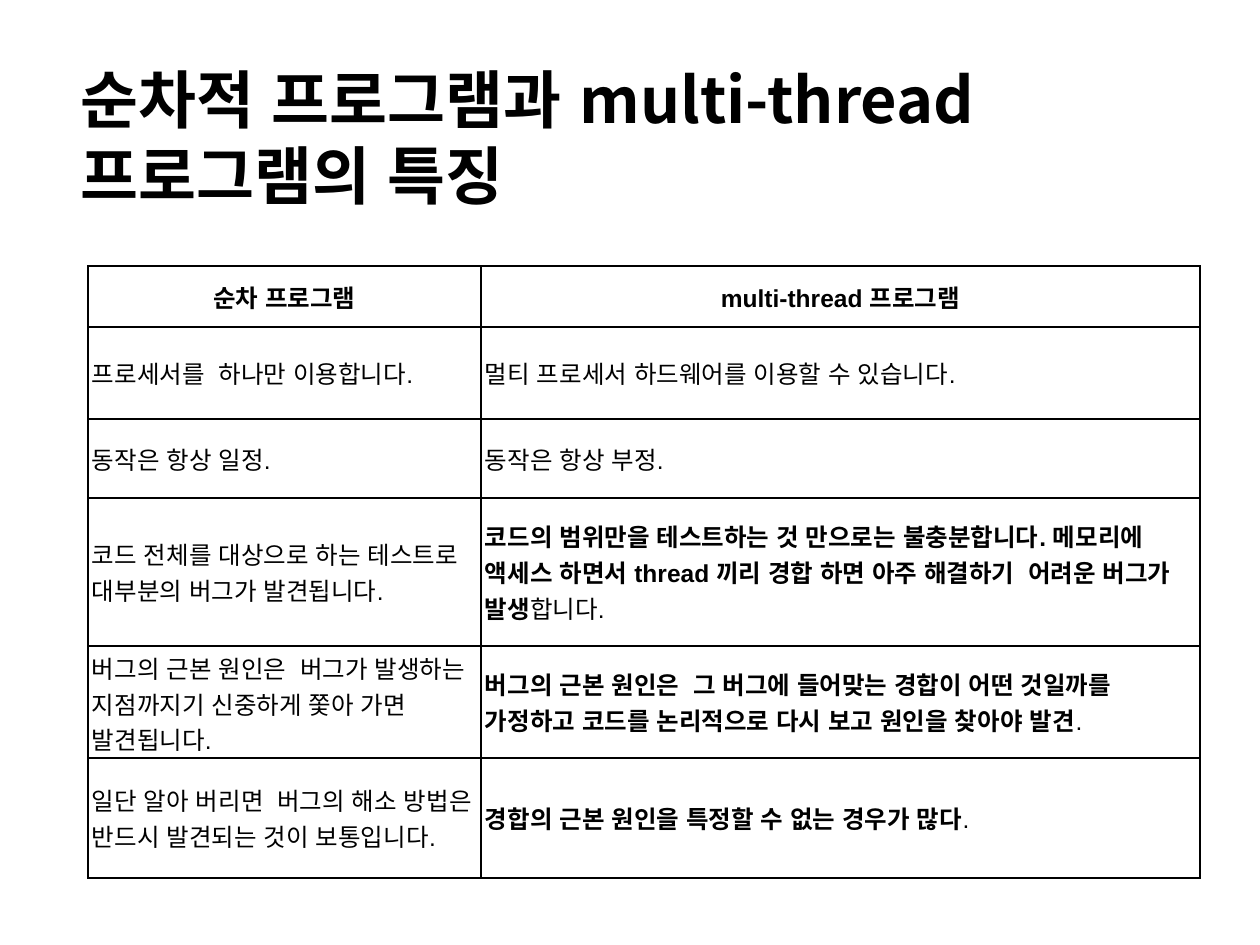
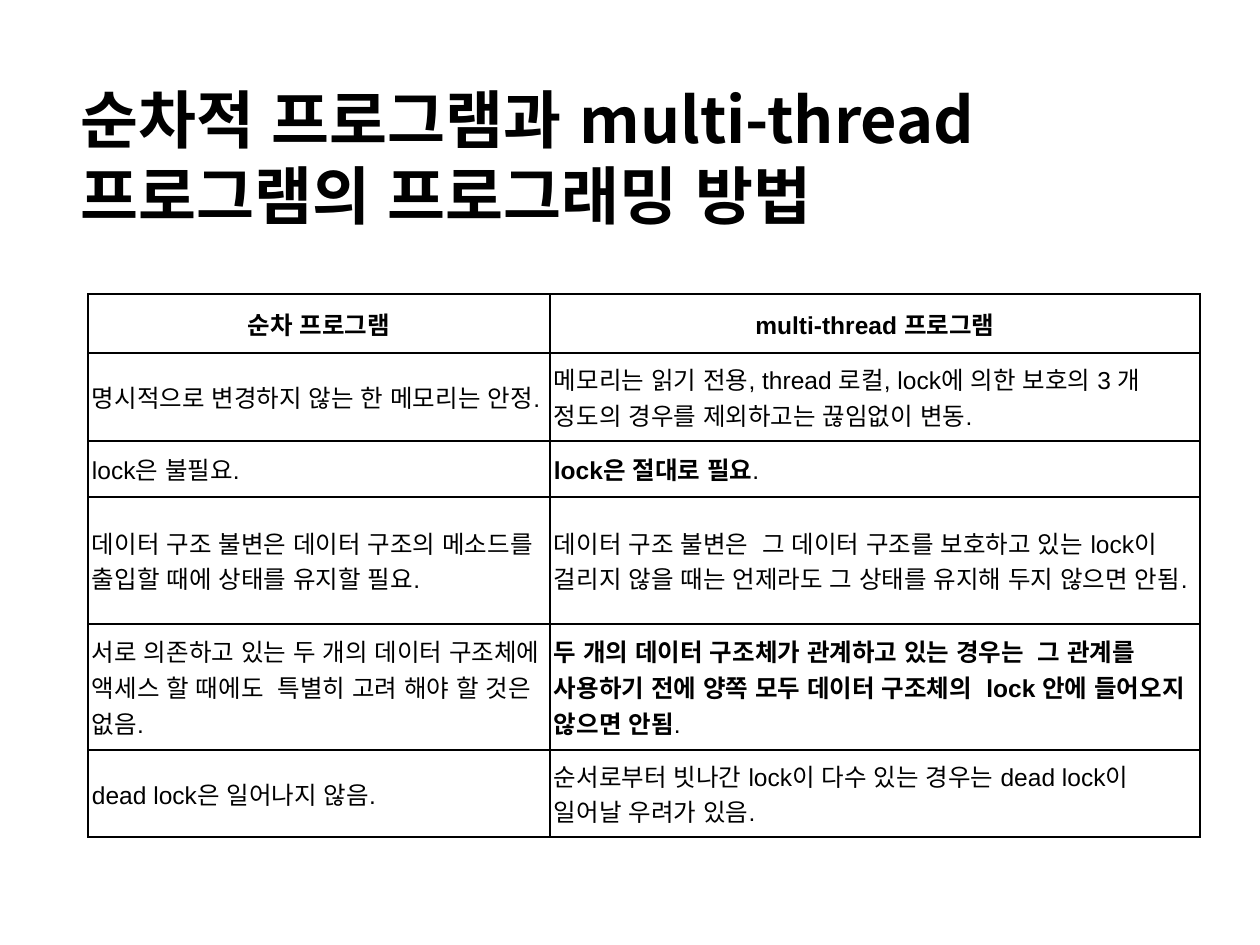
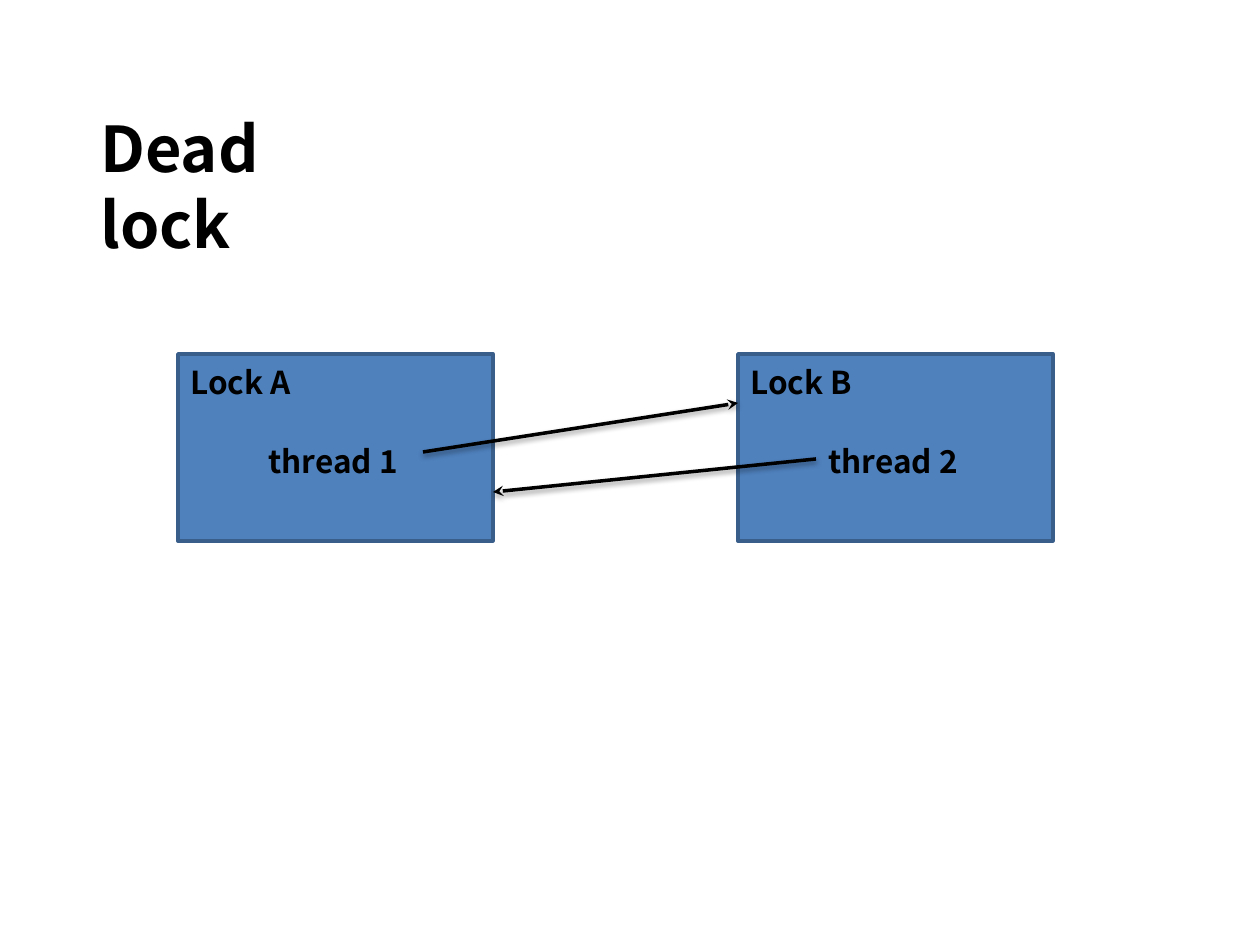
from lxml.etree import SubElement
from pptx import Presentation
from pptx.dml.color import RGBColor
from pptx.enum.lang import MSO_LANGUAGE_ID as Language
from pptx.enum.shapes import MSO_CONNECTOR as Connector, MSO_SHAPE as Shape
from pptx.enum.text import MSO_ANCHOR as Anchor, PP_ALIGN as Align
from pptx.oxml.ns import qn
from pptx.util import Emu, Pt

PX_PER_INCH = 126
COLORS = {"ink": "000000", "lock": "4F81BD", "lock_edge": "395E89"}
TITLE_FONT = "Noto Sans CJK KR"
TABLE_FONT = "Arial"
TITLE_SIZE, LABEL_SIZE, TABLE_SIZE = 36, 18, 14
TABLE_LEFT = 88
CELL_INSET = 4
LOCK_WIDTH, LOCK_HEIGHT = 315, 187

# In a cell, the text before "|" is bold.
FEATURES = [
    ("순차 프로그램|", "multi-thread 프로그램|"),
    ("프로세서를  하나만 이용합니다.", "멀티 프로세서 하드웨어를 이용할 수 있습니다."),
    ("동작은 항상 일정.", "동작은 항상 부정."),
    ("코드 전체를 대상으로 하는 테스트로 대부분의 버그가 발견됩니다.",
     "코드의 범위만을 테스트하는 것 만으로는 불충분합니다. 메모리에 액세스 하면서 thread 끼리 "
     "경합 하면 아주 해결하기  어려운 버그가 발생|합니다."),
    ("버그의 근본 원인은  버그가 발생하는 지점까지기 신중하게 쫓아 가면 발견됩니다.",
     "버그의 근본 원인은  그 버그에 들어맞는 경합이 어떤 것일까를 가정하고 코드를 논리적으로 "
     "다시 보고 원인을 찾아야 발견|."),
    ("일단 알아 버리면  버그의 해소 방법은 반드시 발견되는 것이 보통입니다.",
     "경합의 근본 원인을 특정할 수 없는 경우가 많다|."),
]
METHODS = [
    ("순차 프로그램|", "multi-thread 프로그램|"),
    ("명시적으로 변경하지 않는 한 메모리는 안정.",
     "메모리는 읽기 전용, thread 로컬, lock에 의한 보호의 3 개 정도의 경우를 제외하고는 "
     "끊임없이 변동."),
    ("lock은 불필요.", "lock은 절대로 필요|."),
    ("데이터 구조 불변은 데이터 구조의 메소드를 출입할 때에 상태를 유지할 필요.",
     "데이터 구조 불변은  그 데이터 구조를 보호하고 있는 lock이 걸리지 않을 때는 언제라도 "
     "그 상태를 유지해 두지 않으면 안됨."),
    ("서로 의존하고 있는 두 개의 데이터 구조체에 액세스 할 때에도  특별히 고려 해야 할 것은 없음.",
     "두 개의 데이터 구조체가 관계하고 있는 경우는  그 관계를 사용하기 전에 양쪽 모두 "
     "데이터 구조체의  lock 안에 들어오지 않으면 안됨|."),
    ("dead lock은 일어나지 않음.",
     "순서로부터 빗나간 lock이 다수 있는 경우는 dead lock이 일어날 우려가 있음."),
]


def px(length):
    return Emu(round(length * 914400 / PX_PER_INCH))


def color(name):
    return RGBColor.from_string(COLORS[name])


def add_xml(parent, tag, **attributes):
    return SubElement(parent, qn(tag), attributes)


def add_run(paragraph, text, bold):
    run = paragraph.add_run()
    run.text = text
    run.font.bold = bold
    run.font.language_id = Language.KOREAN


def set_font(paragraph, name, size):
    font = paragraph.font
    font.name, font.size = name, Pt(size)
    font.color.rgb = color("ink")


def add_heading(shapes, text, box, size=TITLE_SIZE):
    """Add bold text on a fixed line pitch of 1.2 times its size."""
    frame = shapes.add_textbox(*map(px, box)).text_frame
    frame.word_wrap = True
    frame.margin_top = px(6 + size // 6)
    paragraph = frame.paragraphs[0]
    paragraph.line_spacing = Pt(round(size * 1.2, 1))
    set_font(paragraph, TITLE_FONT, size)
    add_xml(paragraph._p.pPr.find(qn("a:defRPr")), "a:ea", typeface=TITLE_FONT)
    add_run(paragraph, text, True)


def style_cell(cell):
    cell.vertical_anchor = Anchor.MIDDLE
    cell.margin_left = cell.margin_right = px(CELL_INSET)
    cell.margin_top = cell.margin_bottom = px(CELL_INSET)
    properties = cell._tc.get_or_add_tcPr()
    for side in ("L", "R", "T", "B"):
        border = add_xml(properties, f"a:ln{side}", w=str(Pt(1)))
        add_xml(add_xml(border, "a:solidFill"), "a:srgbClr", val=COLORS["ink"])
    cell.fill.background()


def add_comparison(slide, rows, top, widths, heights):
    frame = slide.shapes.add_table(len(rows), len(widths), px(TABLE_LEFT), px(top),
                                   px(sum(widths)), px(sum(heights)))
    table = frame.table
    table.first_row = table.horz_banding = False
    for column, width in zip(table.columns, widths):
        column.width = px(width)
    for row_index, (row, texts, height) in enumerate(zip(table.rows, rows, heights)):
        row.height = px(height)
        for cell, text in zip(row.cells, texts):
            style_cell(cell)
            paragraph = cell.text_frame.paragraphs[0]
            paragraph.alignment = Align.LEFT if row_index else Align.CENTER
            set_font(paragraph, TABLE_FONT, TABLE_SIZE)
            strong, _, plain = text.rpartition("|")
            for part, bold in ((strong, True), (plain, False)):
                if part:
                    add_run(paragraph, part, bold)


def add_lock(slide, left, top, lock, thread):
    shapes = slide.shapes.add_group_shape().shapes
    block = shapes.add_shape(Shape.RECTANGLE, px(left), px(top),
                             px(LOCK_WIDTH), px(LOCK_HEIGHT))
    block.shadow.inherit = False
    block.fill.solid()
    block.fill.fore_color.rgb = color("lock")
    block.line.color.rgb = color("lock_edge")
    block.line.width = Pt(2)
    add_heading(shapes, lock, (left, top, 137, 50), LABEL_SIZE)
    add_heading(shapes, thread, (left + 78, top + 79, 186, 50), LABEL_SIZE)


def add_request(slide, start, end):
    """Draw a shadowed arrow from a thread to the lock it waits for."""
    arrow = slide.shapes.add_connector(Connector.STRAIGHT, *map(px, start + end))
    arrow.line.color.rgb = color("ink")
    arrow.line.width = Pt(2)
    add_xml(arrow.line._get_or_add_ln(), "a:tailEnd", type="stealth")
    effects = add_xml(arrow._element.spPr, "a:effectLst")
    shadow = add_xml(effects, "a:outerShdw", blurRad="40000", dist="20000",
                     dir="5400000", rotWithShape="0")
    shade = add_xml(shadow, "a:srgbClr", val=COLORS["ink"])
    add_xml(shade, "a:alpha", val="38000")


def add_comparison_slide(slide, title, title_top, *table):
    add_heading(slide.shapes, title, (68, title_top, 995, 165))
    add_comparison(slide, *table)


def add_deadlock_slide(slide):
    add_heading(slide.shapes, "Dead lock", (88, 98, 328, 89))
    left_a, left_b, top = 178, 738, 354
    add_lock(slide, left_a, top, "Lock A", "thread 1")
    add_lock(slide, left_b, top, "Lock B", "thread 2")
    add_request(slide, (left_a + 245, top + 98), (left_b, top + 49))
    add_request(slide, (left_b + 78, top + 105), (left_a + LOCK_WIDTH, top + 138))


def main():
    presentation = Presentation()
    presentation.slide_width, presentation.slide_height = px(1260), px(945)
    blank = presentation.slide_layouts[6]
    features, methods, deadlock = (presentation.slides.add_slide(blank) for _ in range(3))
    add_comparison_slide(features, "순차적 프로그램과 multi-thread 프로그램의 특징", 49,
                         FEATURES, 266, (393, 719), (61, 92, 79, 148, 112, 120))
    add_comparison_slide(methods, "순차적 프로그램과 multi-thread 프로그램의 프로그래밍 방법", 69,
                         METHODS, 294, (462, 650), (59, 88, 56, 127, 126, 87))
    add_deadlock_slide(deadlock)
    presentation.save("out.pptx")


if __name__ == "__main__":
    main()
